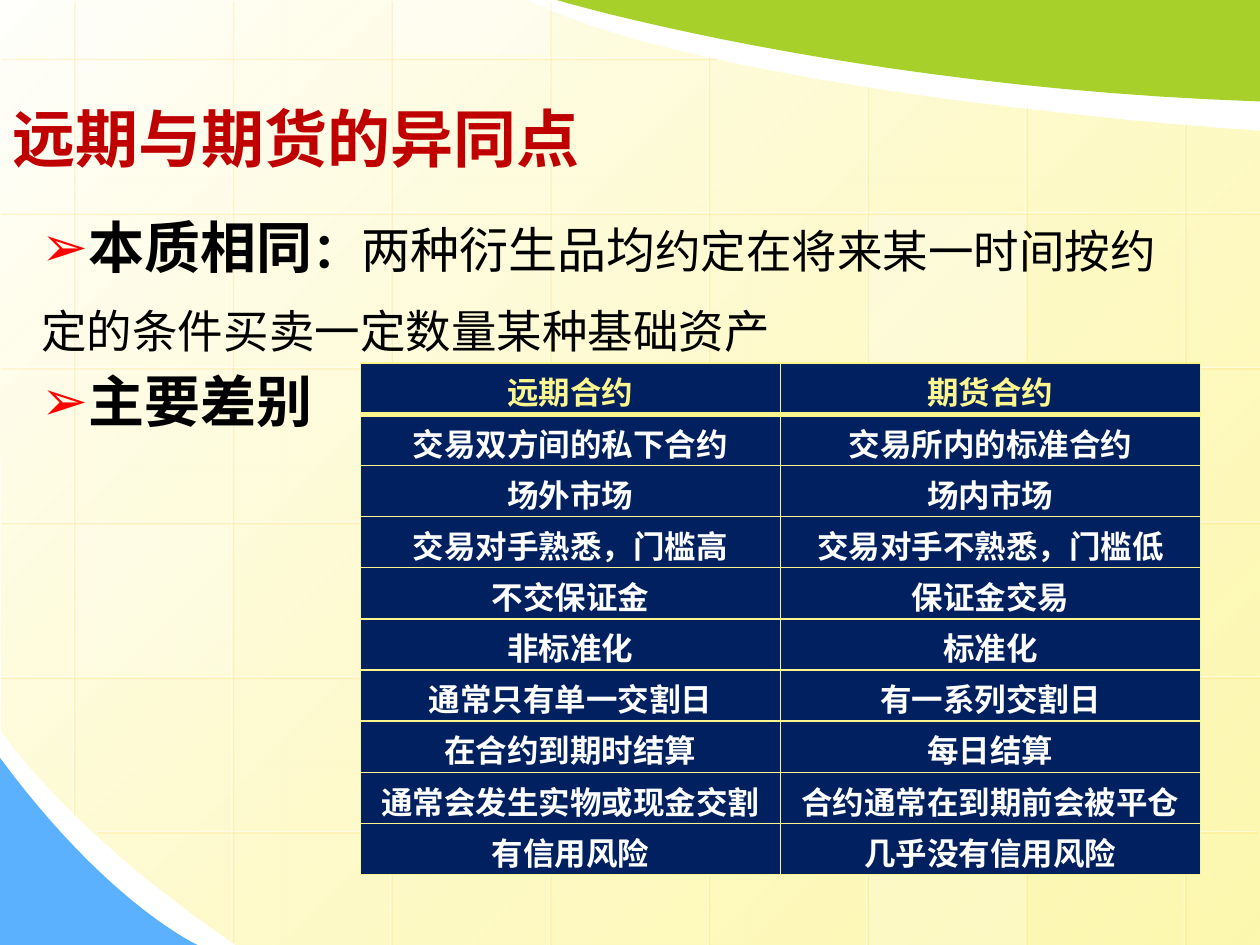
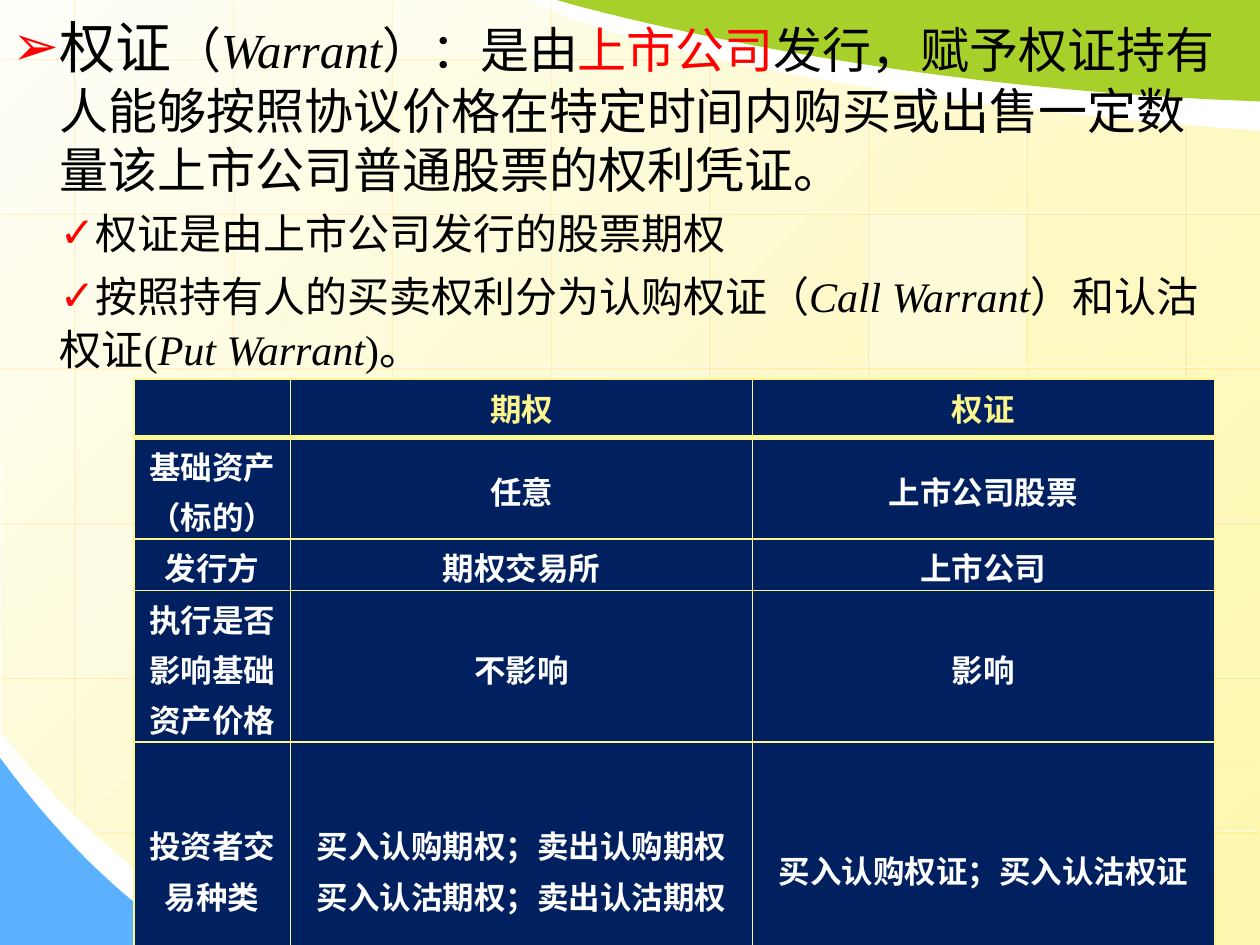
"""Two slides on forwards, futures, options and warrants."""
from lxml import etree
from pptx import Presentation
from pptx.dml.color import RGBColor as Rgb
from pptx.enum import shapes as kinds, text as modes
from pptx.oxml.ns import qn
from pptx.util import Pt

WHITE = Rgb(0xFF, 0xFF, 0xFF)
BLACK = Rgb(0, 0, 0)
RED = Rgb(0xFF, 0, 0)
DARK = Rgb(0xC0, 0, 0)
NAVY = Rgb(0, 0x20, 0x60)
CREAM = Rgb(0xFF, 0xFF, 0xFC)
YELLOW = Rgb(0xFD, 0xF5, 0x8D)
GOLD = Rgb(0xFF, 0xC3, 0x19)
BLUE = Rgb(0x5C, 0xB1, 0xFE)
GREEN = Rgb(0xA8, 0xD0, 0x2A)
SANS, BOLD, SERIF = "Noto Sans CJK SC", "Noto Sans CJK JP", "Times New Roman"

TITLE = "远期与期货的异同点"
HEAD = dict(size=32, name=BOLD, bold=True)
PLAIN = dict(size=28, name=SANS)
TERM = dict(size=28, name=SERIF)
LATIN = dict(TERM, italic=True)
SUB = dict(size=24, name=SERIF)
SUBLAT = dict(SUB, italic=True)

SAME = [
    dict(mark="➢", line=44, runs=[
        ("本质相同", HEAD), ("：", dict(PLAIN, bold=True)), ("两种衍生品均", PLAIN),
        ("约定在将来某一时间按约定的条件买卖一定数量某种基础资产", dict(PLAIN, size=26))]),
    dict(mark="➢", line=44, runs=[("主要差别", HEAD)]),
]
WARRANT = [
    dict(mark="➢", line=34, left=27, first=-27, runs=[
        ("权证", dict(TERM, size=32)), ("（", TERM), ("Warrant", LATIN), ("）：是由", TERM),
        ("上市公司", dict(TERM, color=RED)),
        ("发行，赋予权证持有人能够按照协议价格在特定时间内购买或出售一定数量该上市公司普通股票的权利凭证。", TERM)]),
    dict(mark="✓", line=30, left=27, before=4, runs=[("权证是由上市公司发行的股票期权", SUB)]),
    dict(mark="✓", line=30, left=27, before=6, runs=[
        ("按照持有人的买卖权利分为认购权证（", SUB), ("Call Warrant", SUBLAT),
        ("）和认沽权证(", SUB), ("Put Warrant", SUBLAT), (")。", SUB)]),
]
FUTURES = [
    ("远期合约", "期货合约"),
    ("交易双方间的私下合约", "交易所内的标准合约"),
    ("场外市场", "场内市场"),
    ("交易对手熟悉，门槛高", "交易对手不熟悉，门槛低"),
    ("不交保证金", "保证金交易"),
    ("非标准化", "标准化"),
    ("通常只有单一交割日", "有一系列交割日"),
    ("在合约到期时结算", "每日结算"),
    ("通常会发生实物或现金交割", "合约通常在到期前会被平仓"),
    ("有信用风险", "几乎没有信用风险"),
]
OPTIONS = [
    ("", "期权", "权证"),
    ("基础资产（标的）", "任意", "上市公司股票"),
    ("发行方", "期权交易所", "上市公司"),
    ("执行是否影响基础资产价格", "不影响", "影响"),
    ("投资者交易种类", "买入认购期权；卖出认购期权\n买入认沽期权；卖出认沽期权", "买入认购权证；买入认沽权证"),
]

FIELD = [(720, 75), (720, 540), (135, 540),
         [(39, 475), (1, 418), (1, 418)], (0, 0), (302, 0), [(302, 1), (386, 50), (720, 75)]]
CORNER = [(0, 433), (0, 540), (113, 540), [(113, 540), (62, 517), (0, 433)]]
CREST = [(720, 58), (720, 0), (318, 0), [(318, 0), (485, 50), (720, 58)]]
SPANS = [(0, 465), (0, 538), (0, 540), (0, 540), (31, 540), (49, 540), (61, 540), (71, 540)]
ROWS = [(0, 409), (0, 720), (0, 720), (0, 720), (0, 720), (55, 718)]
TILES = [(3, 2, 25), (6, 4, 30), (0, 3, 20), (5, 5, 20), (2, -1, 40), (2, 4, 30), (5, 1, 30)]
LEFT, TOP, WIDE, HIGH = 41.8, 33.1, 90.7, 88.4


def put(item, **vals):
    for key, val in vals.items():
        setattr(item, key, val)


def add(node, tag, **vals):
    return etree.SubElement(node, qn(tag), **{k: str(v) for k, v in vals.items()})


def fade(node, part):
    add(node, "a:alpha", val=part * 1000)


def paint(shape, color):
    shape.shadow.inherit = False
    shape.line.fill.background()
    shape.fill.solid()
    shape.fill.fore_color.rgb = color
    return shape


def curve(a, b, c, d, steps=24):
    for n in range(1, steps + 1):
        t = n / steps
        s = 1 - t
        yield tuple(s**3 * p + 3 * s * s * t * q + 3 * s * t * t * r + t**3 * v
                    for p, q, r, v in zip(a, b, c, d))


def outline(page, parts, color):
    dots = []
    for part in parts:
        dots += curve(dots[-1], *part) if isinstance(part, list) else [part]
    dots = [(Pt(x), Pt(y)) for x, y in dots]
    form = page.build_freeform(*dots[0], scale=1.0)
    form.add_line_segments(dots[1:], close=True)
    return paint(form.convert_to_shape(), color)


def rule(page, x1, y1, x2, y2):
    line = page.add_connector(kinds.MSO_CONNECTOR.STRAIGHT, Pt(x1), Pt(y1), Pt(x2), Pt(y2))
    put(line.line, width=Pt(0.75))
    line.line.color.rgb = WHITE
    fade(next(line.element.iter(qn("a:srgbClr"))), 50)
    glow = add(add(line.element.spPr, "a:effectLst"), "a:outerShdw",
               blurRad=0, dist=Pt(1.4), dir=45 * 60000, algn="ctr", rotWithShape=0)
    fade(add(glow, "a:srgbClr", val=GOLD), 35)
    return line


def tile(page, col, row, part):
    x, y = LEFT + WIDE * col + 1.2, max(TOP + HIGH * row + 1.5, 0)
    end = min(TOP + HIGH * (row + 1) - 1.5, 540)
    box = paint(page.add_shape(kinds.MSO_SHAPE.RECTANGLE, Pt(x), Pt(y), Pt(WIDE - 2), Pt(end - y)), WHITE)
    fade(next(box.element.spPr.iter(qn("a:srgbClr"))), part)
    return box


def backdrop(page, layout):
    field = outline(page, FIELD, CREAM)
    field.fill.gradient()
    field.fill.gradient_angle = 315
    for stop, color in zip(field.fill.gradient_stops, (CREAM, YELLOW)):
        stop.color.rgb = color
    fade(list(field.element.spPr.iter(qn("a:srgbClr")))[-1], 70)
    parts = [field, outline(page, CORNER, BLUE)]
    for n, (a, b) in enumerate(SPANS):
        parts.append(rule(page, LEFT + WIDE * n, a, LEFT + WIDE * n, b))
    for n, (a, b) in enumerate(ROWS):
        parts.append(rule(page, b, TOP + HIGH * n, a, TOP + HIGH * n))
    parts += [tile(page, *spot) for spot in TILES]
    parts.append(outline(page, CREST, GREEN))
    for n, part in enumerate(parts):
        next(part.element.iter(qn("p:cNvPr"))).set("id", str(100 + n))
        layout.shapes.element.insert(2 + n, part.element)


def write(para, words, size, name, color=BLACK, **look):
    run = para.add_run()
    run.text = words
    put(run.font, size=Pt(size), name=name, **look)
    run.font.color.rgb = color
    add(run.font._rPr, "a:ea", typeface=SANS if name == SERIF else name)


def place(shape, x, y, w, h, anchor):
    put(shape, left=Pt(x), top=Pt(y), width=Pt(w), height=Pt(h))
    put(shape.text_frame, auto_size=modes.MSO_AUTO_SIZE.NONE, word_wrap=True, vertical_anchor=anchor)
    return shape.text_frame


def bullets(frame, items):
    for n, item in enumerate(items):
        para = frame.add_paragraph() if n else frame.paragraphs[0]
        put(para, line_spacing=Pt(item["line"]), space_before=Pt(item.get("before", 0)))
        props = para._p.get_or_add_pPr()
        props.set("marL", str(Pt(item.get("left", 0))))
        props.set("indent", str(Pt(item.get("first", 0))))
        add(add(props, "a:buClr"), "a:srgbClr", val=RED)
        add(props, "a:buChar", char=item["mark"])
        for words, look in item["runs"]:
            write(para, words, **look)


def edge(cell, row):
    props = cell._tc.get_or_add_tcPr()
    for side in "LRTB":
        thick = 3 if (row, side) in ((0, "B"), (1, "T")) else 1
        line = add(props, "a:ln" + side, w=Pt(thick))
        add(add(line, "a:solidFill"), "a:srgbClr", val=YELLOW)


def grid(page, data, x, y, cols, rows, head, body):
    table = page.add_table(len(rows), len(cols), Pt(x), Pt(y), Pt(sum(cols)), Pt(sum(rows))).table
    put(table, first_row=False, horz_banding=False)
    for col, wide in zip(table.columns, cols):
        col.width = Pt(wide)
    for r, (row, high) in enumerate(zip(table.rows, rows)):
        row.height = Pt(high)
        look = body if r else head
        for cell, words in zip(row.cells, data[r]):
            edge(cell, r)
            put(cell, **look["cell"])
            cell.fill.solid()
            cell.fill.fore_color.rgb = NAVY
            for n, line in enumerate(words.split("\n") if words else []):
                para = cell.text_frame.add_paragraph() if n else cell.text_frame.paragraphs[0]
                put(para, alignment=modes.PP_ALIGN.CENTER, line_spacing=look["line"])
                write(para, line, 18, SANS, WHITE if r else YELLOW, bold=True)


def main():
    deck = Presentation()
    put(deck, slide_width=Pt(720), slide_height=Pt(540))
    layout = deck.slide_layouts[1]
    one, two = (deck.slides.add_slide(layout) for _ in range(2))
    backdrop(one.shapes, layout)
    top, mid = modes.MSO_ANCHOR.TOP, modes.MSO_ANCHOR.MIDDLE

    para = place(one.shapes.title, 0, 53, 711, 51, mid).paragraphs[0]
    para.alignment = modes.PP_ALIGN.LEFT
    write(para, TITLE, 36, BOLD, DARK, bold=True)
    bullets(place(one.placeholders[1], 16.5, 112.5, 670, 326, top), SAME)
    tight = dict(line=1.0, cell=dict(margin_top=Pt(3), margin_bottom=0))
    grid(one.shapes, FUTURES, 206, 207.5, [240] * 2, [29.25] * 10, tight, tight)

    title = two.shapes.title.element
    title.getparent().remove(title)
    bullets(place(two.placeholders[1], 0, 8, 708.5, 306, top), WARRANT)
    slim = {"margin_" + side: Pt(0.5) for side in ("left", "right", "top")}
    grid(two.shapes, OPTIONS, 76.5, 216.5, [89.5, 264, 264], [33.6, 57.8, 29.4, 86.8, 143.3],
         dict(line=1.0, cell={}),
         dict(line=1.1, cell=dict(slim, margin_bottom=0, vertical_anchor=mid)))
    deck.save("out.pptx")


if __name__ == "__main__":
    main()
